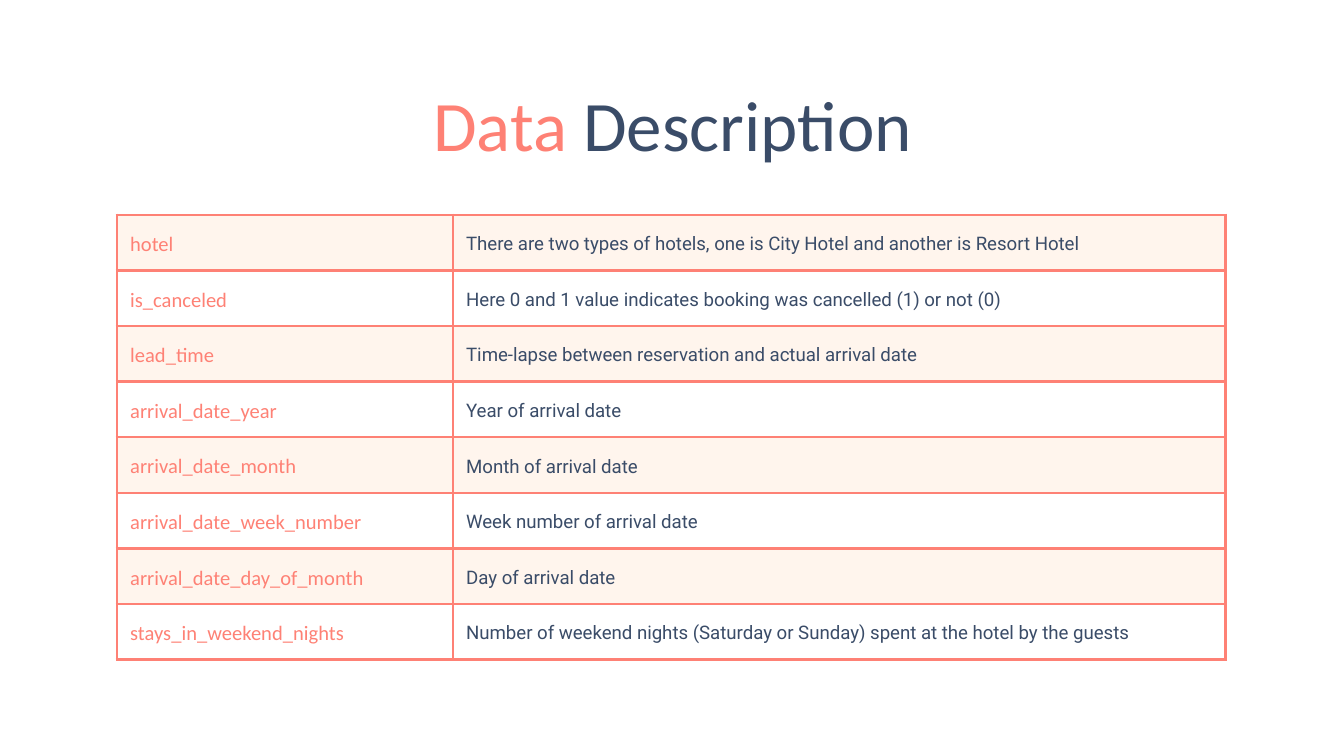
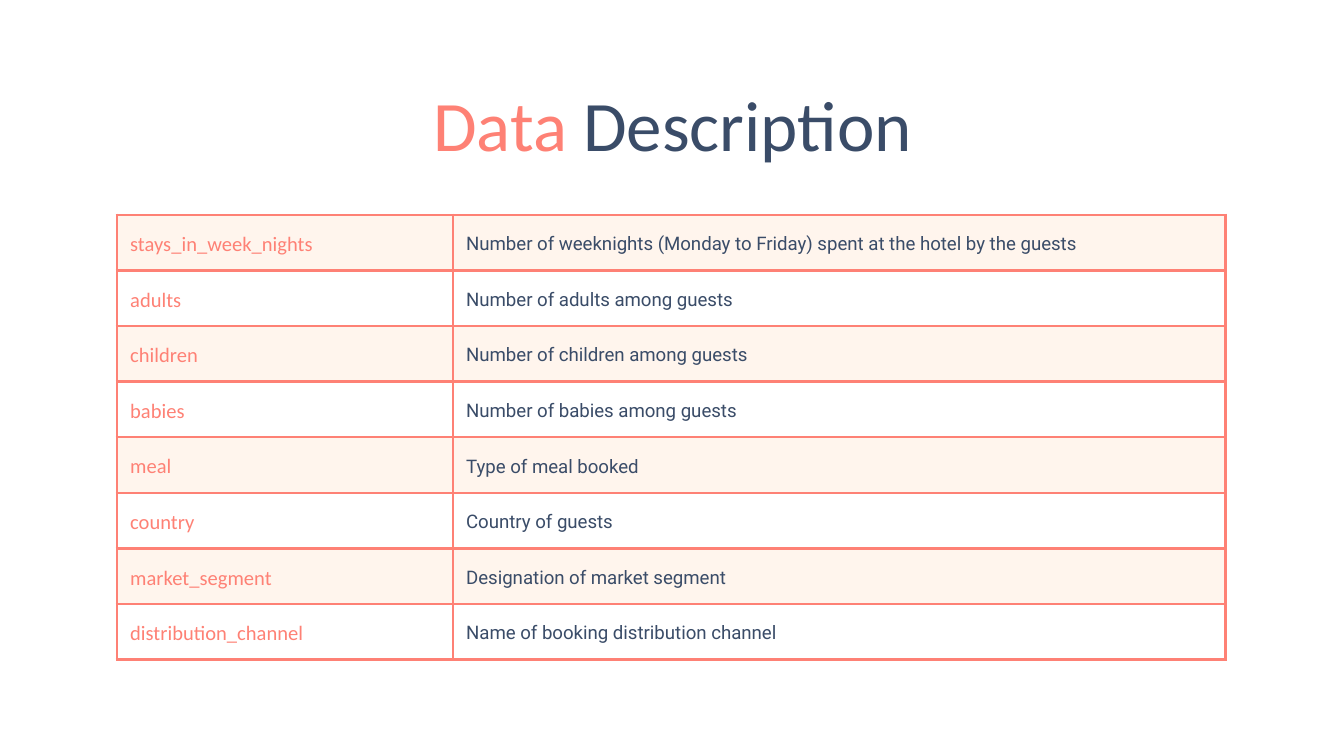
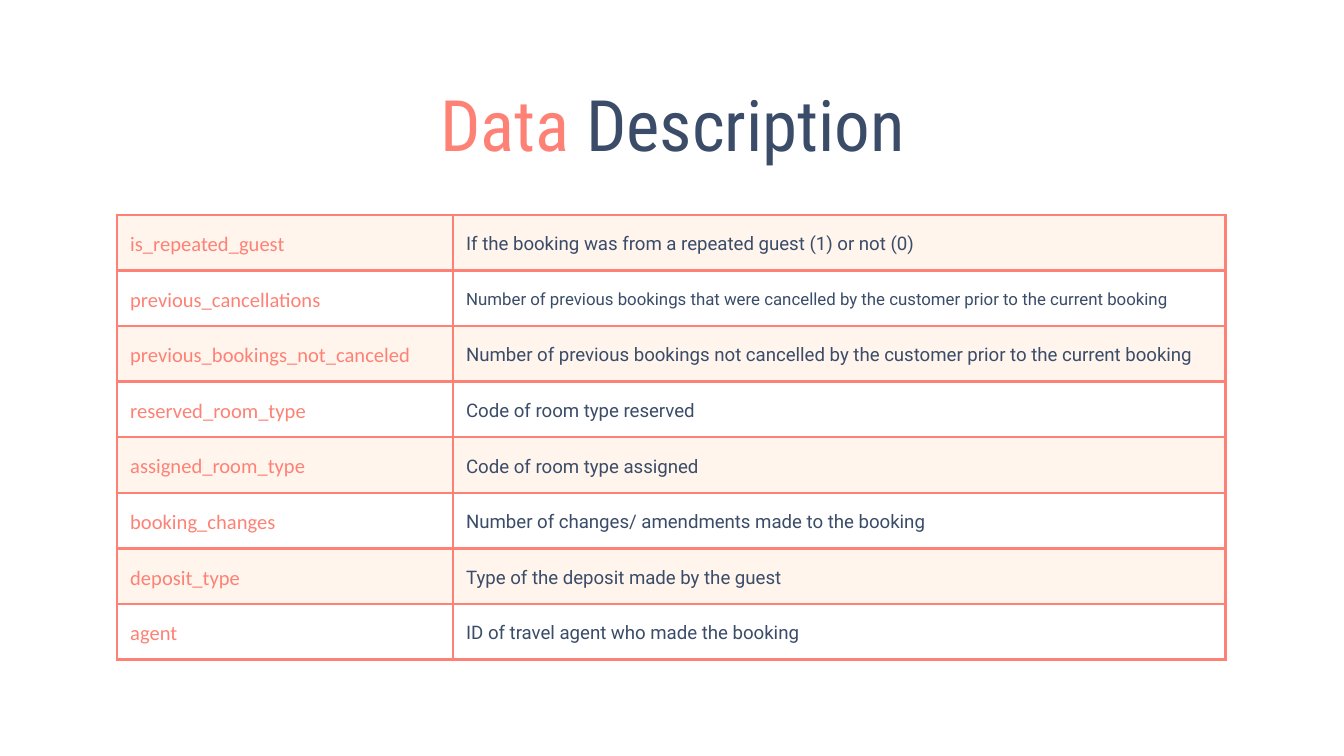
from lxml import etree
from pptx import Presentation
from pptx.dml.color import RGBColor
from pptx.enum import text
from pptx.oxml import ns
from pptx.util import Cm, Pt

COLORS = {"coral": "FE8175", "navy": "3A4C68", "cream": "FFF5ED"}
BODY_SIZE = 10
SMALL_SIZE = 9
TITLE = (("Data ", "coral"), ("Description", "navy"))

SECTIONS = [
    {"title_font": "Calibri", "fields": [
        ("hotel", "There are two types of hotels, one is City Hotel and another is Resort Hotel"),
        ("is_canceled", "Here 0 and 1 value indicates booking was cancelled (1) or not (0)"),
        ("lead_time", "Time-lapse between reservation and actual arrival date"),
        ("arrival_date_year", "Year of arrival date"),
        ("arrival_date_month", "Month of arrival date"),
        ("arrival_date_week_number", "Week number of arrival date"),
        ("arrival_date_day_of_month", "Day of arrival date"),
        ("stays_in_weekend_nights",
         "Number of weekend nights (Saturday or Sunday) spent at the hotel by the guests"),
    ]},
    {"title_font": "Calibri", "fields": [
        ("stays_in_week_nights",
         "Number of weeknights (Monday to Friday) spent at the hotel by the guests"),
        ("adults", "Number of adults among guests"),
        ("children", "Number of children among guests"),
        ("babies", "Number of babies among guests"),
        ("meal", "Type of meal booked"),
        ("country", "Country of guests"),
        ("market_segment", "Designation of market segment"),
        ("distribution_channel", "Name of booking distribution channel"),
    ]},
    {"title_font": "Roboto Condensed", "fields": [
        ("is_repeated_guest", "If the booking was from a repeated guest (1) or not (0)"),
        ("previous_cancellations",
         "Number of previous bookings that were cancelled by the customer prior to the current booking",
         SMALL_SIZE),
        ("previous_bookings_not_canceled",
         "Number of previous bookings not cancelled by the customer prior to the current booking"),
        ("reserved_room_type", "Code of room type reserved"),
        ("assigned_room_type", "Code of room type assigned"),
        ("booking_changes", "Number of changes/ amendments made to the booking"),
        ("deposit_type", "Type of the deposit made by the guest"),
        ("agent", "ID of travel agent who made the booking"),
    ]},
]

TITLE_BOX = (Cm(2.39), Cm(1.27), Cm(20.65), Cm(1.6))
TABLE_LEFT, TABLE_TOP = Cm(2.21), Cm(4.06)
COLUMN_WIDTHS = (Cm(6.35), Cm(14.6))
ROW_HEIGHT = Cm(1.01)
INSET = Cm(0.25)
BORDER = Pt(1.5)


def style(span, font, size, color):
    span.font.name = font
    span.font.size = Pt(size)
    span.font.bold = False
    span.font.color.rgb = RGBColor.from_string(COLORS[color])


def set_insets(target):
    target.margin_left = target.margin_right = INSET
    target.margin_top = target.margin_bottom = INSET


def add_title(page, font):
    title = page.shapes.title
    title.left, title.top, title.width, title.height = TITLE_BOX
    frame = title.text_frame
    frame.word_wrap = True
    frame.auto_size = text.MSO_AUTO_SIZE.NONE
    frame.vertical_anchor = text.MSO_ANCHOR.TOP
    set_insets(frame)
    para = frame.paragraphs[0]
    para.alignment = text.PP_ALIGN.CENTER
    for words, color in TITLE:
        span = para.add_run()
        span.text = words
        style(span, font, 38, color)


def add_borders(cell):
    properties = cell._tc.get_or_add_tcPr()
    for side in ("L", "R", "T", "B"):
        line = etree.SubElement(properties, ns.qn(f"a:ln{side}"), w=str(BORDER))
        fill = etree.SubElement(line, ns.qn("a:solidFill"))
        etree.SubElement(fill, ns.qn("a:srgbClr"), val=COLORS["coral"])


def fill_cell(cell, words, font, size, color, shaded):
    cell.text_frame.text = words
    cell.vertical_anchor = text.MSO_ANCHOR.MIDDLE
    set_insets(cell)
    para = cell.text_frame.paragraphs[0]
    para.line_spacing = 1.15
    style(para.runs[0], font, size, color)
    add_borders(cell)
    if shaded:
        cell.fill.solid()
        cell.fill.fore_color.rgb = RGBColor.from_string(COLORS["cream"])
    else:
        cell.fill.background()


def add_field_table(page, fields):
    table = page.shapes.add_table(
        len(fields), len(COLUMN_WIDTHS), TABLE_LEFT, TABLE_TOP,
        sum(COLUMN_WIDTHS), ROW_HEIGHT * len(fields)).table
    table.first_row = table.horz_banding = False
    for column, width in zip(table.columns, COLUMN_WIDTHS):
        column.width = width
    for index, (name, meaning, *size) in enumerate(fields):
        table.rows[index].height = ROW_HEIGHT
        shaded = index % 2 == 0
        fill_cell(table.cell(index, 0), name, "Calibri", 11, "coral", shaded)
        meaning_size = size[0] if size else BODY_SIZE
        fill_cell(table.cell(index, 1), meaning, "Roboto", meaning_size, "navy", shaded)
        table.cell(index, 1).text_frame.paragraphs[0].space_after = Pt(16)


def main():
    deck = Presentation()
    deck.slide_width, deck.slide_height = Cm(25.4), Cm(14.29)
    title_only = deck.slide_layouts[5]
    for section in SECTIONS:
        page = deck.slides.add_slide(title_only)
        add_title(page, section["title_font"])
        add_field_table(page, section["fields"])
    deck.save("out.pptx")


if __name__ == "__main__":
    main()
